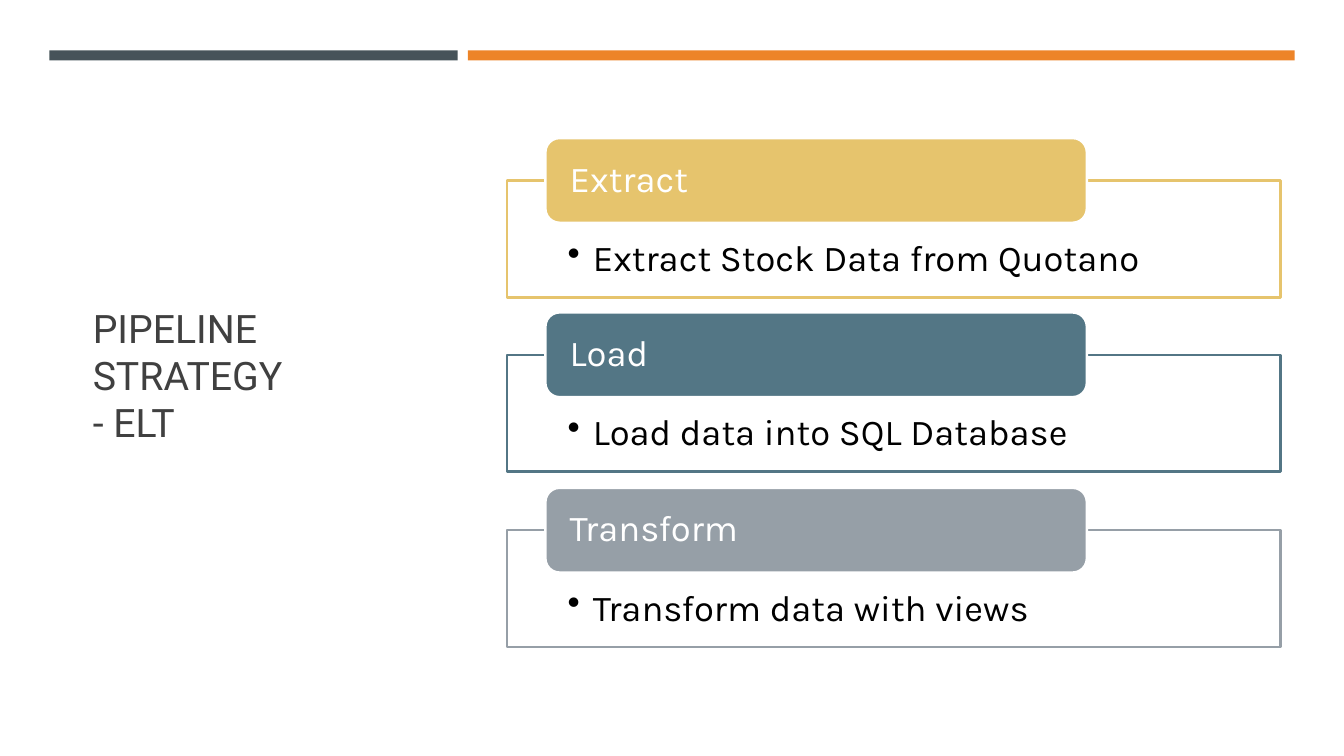
from lxml.etree import SubElement
from pptx import Presentation
from pptx.dml.color import RGBColor
from pptx.enum.shapes import MSO_SHAPE as Shape
from pptx.enum.text import MSO_ANCHOR as Anchor, PP_ALIGN as Align
from pptx.oxml.ns import qn
from pptx.util import Pt

EMU_PER_PX = 9144
TITLE_ONLY = 5
STEPS = [
    ("Extract", "Extract Stock Data from Quotano", "E6C46D"),
    ("Load", "Load data into SQL Database", "537685"),
    ("Transform", "Transform data with views", "969FA7"),
]


def px(length):
    """Turn px into EMU."""
    return length * EMU_PER_PX


def color(hex_string):
    """Turn a hex string into a colour."""
    return RGBColor.from_string(hex_string)


def apply(target, values):
    """Set attributes from a dict of format values."""
    for name, value in values.items():
        setattr(target, name, value)


def write_text(shape, text, font, size, text_color, anchor, insets, spacing=1.0):
    """Write left-aligned text into a shape and return its paragraph."""
    frame = shape.text_frame
    frame.text = text
    sides = ("margin_left", "margin_top", "margin_right", "margin_bottom")
    apply(frame, {"word_wrap": True, "vertical_anchor": anchor})
    apply(frame, dict(zip(sides, map(px, insets))))
    paragraph = frame.paragraphs[0]
    apply(paragraph, {"alignment": Align.LEFT, "line_spacing": spacing})
    for run in paragraph.runs:
        apply(run.font, {"name": font, "size": Pt(size)})
        run.font.color.rgb = color(text_color)
    return paragraph


def add_block(slide, kind, box, fill, line=None):
    """Add a filled preset shape, outlined if a line colour is given."""
    shape = slide.shapes.add_shape(kind, *map(px, box))
    shape.shadow.inherit = False
    shape.fill.solid()
    shape.fill.fore_color.rgb = color(fill)
    if line:
        shape.line.color.rgb = color(line)
        shape.line.width = Pt(1.75)
    else:
        shape.line.fill.background()
    return shape


def add_bullet(paragraph):
    """Give a paragraph a round bullet with a hanging indent."""
    properties = paragraph._p.get_or_add_pPr()
    properties.set("marL", str(px(25)))
    properties.set("indent", str(px(-25)))
    SubElement(properties, qn("a:buChar"), char="•")


def add_step(slide, top, heading, detail, accent):
    """Add an outlined detail box with a heading tab over its top edge."""
    box = add_block(slide, Shape.RECTANGLE, (503, top, 767, 116), "FFFFFF", accent)
    add_bullet(write_text(box, detail, "Karla", 26, "000000", Anchor.TOP,
                          (60, 59, 60, 20), 0.9))
    tab = add_block(slide, Shape.ROUNDED_RECTANGLE, (541, top - 42, 537, 84),
                    accent, "FFFFFF")
    write_text(tab, heading, "Karla", 26, "FFFFFF", Anchor.MIDDLE,
               (20, 0, 20, 0), 0.9)


def add_title(slide, text):
    """Place and format the slide title."""
    title = slide.shapes.title
    apply(title, {"left": px(82), "top": px(114), "width": px(334), "height": px(515)})
    write_text(title, text, "Roboto", 28, "404040", Anchor.MIDDLE, (10, 5, 10, 5))


def main():
    """Build and save the slide."""
    presentation = Presentation()
    apply(presentation, {"slide_width": px(1333), "slide_height": px(750)})
    slide = presentation.slides.add_slide(presentation.slide_layouts[TITLE_ONLY])
    add_title(slide, "PIPELINE STRATEGY \v- ELT")
    for left, width, fill in ((49, 405, "465359"), (464, 820, "ED8428")):
        add_block(slide, Shape.RECTANGLE, (left, 50, width, 10), fill)
    for index, step in enumerate(STEPS):
        add_step(slide, 179 + index * 347 // 2, *step)
    presentation.save("out.pptx")


if __name__ == "__main__":
    main()
